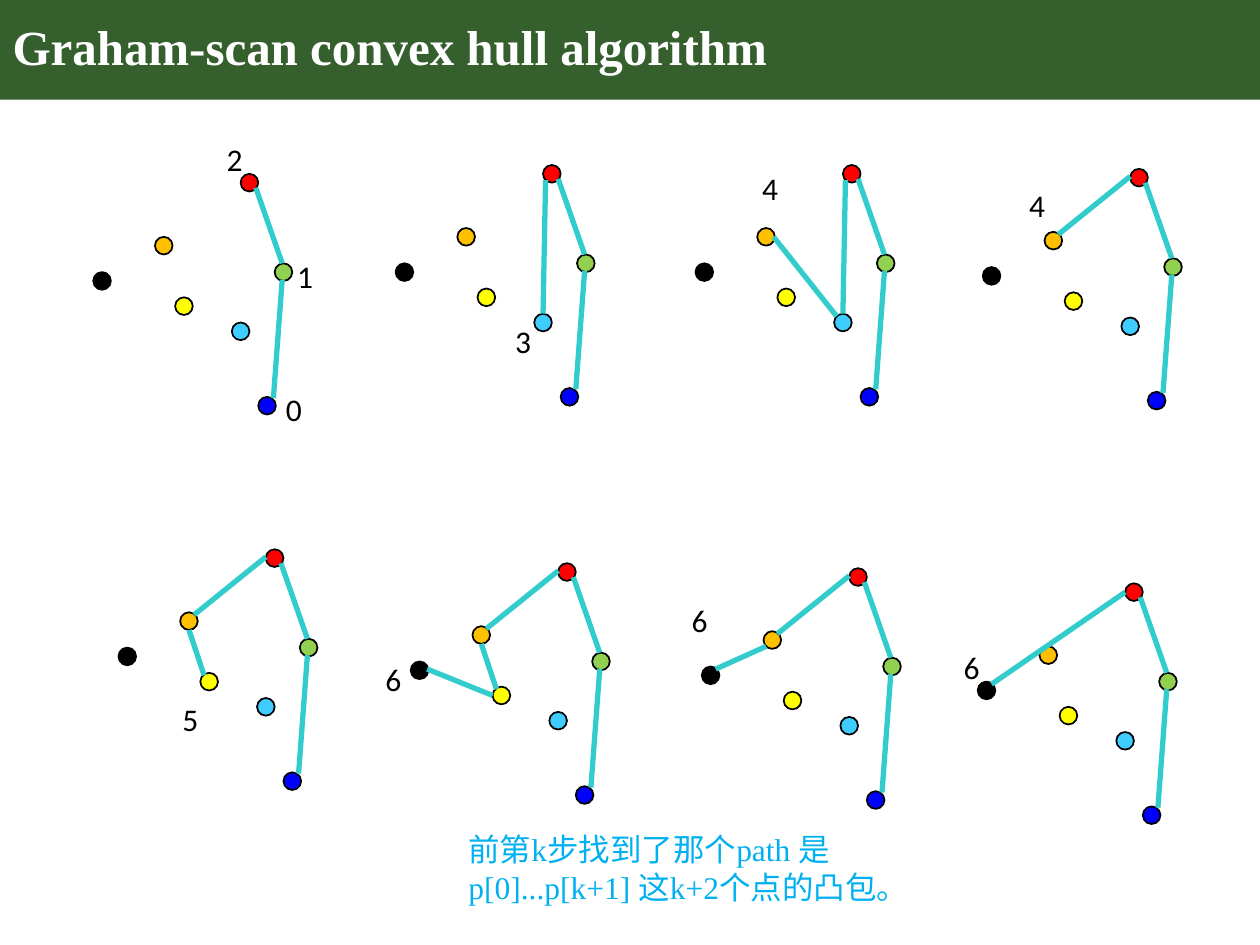
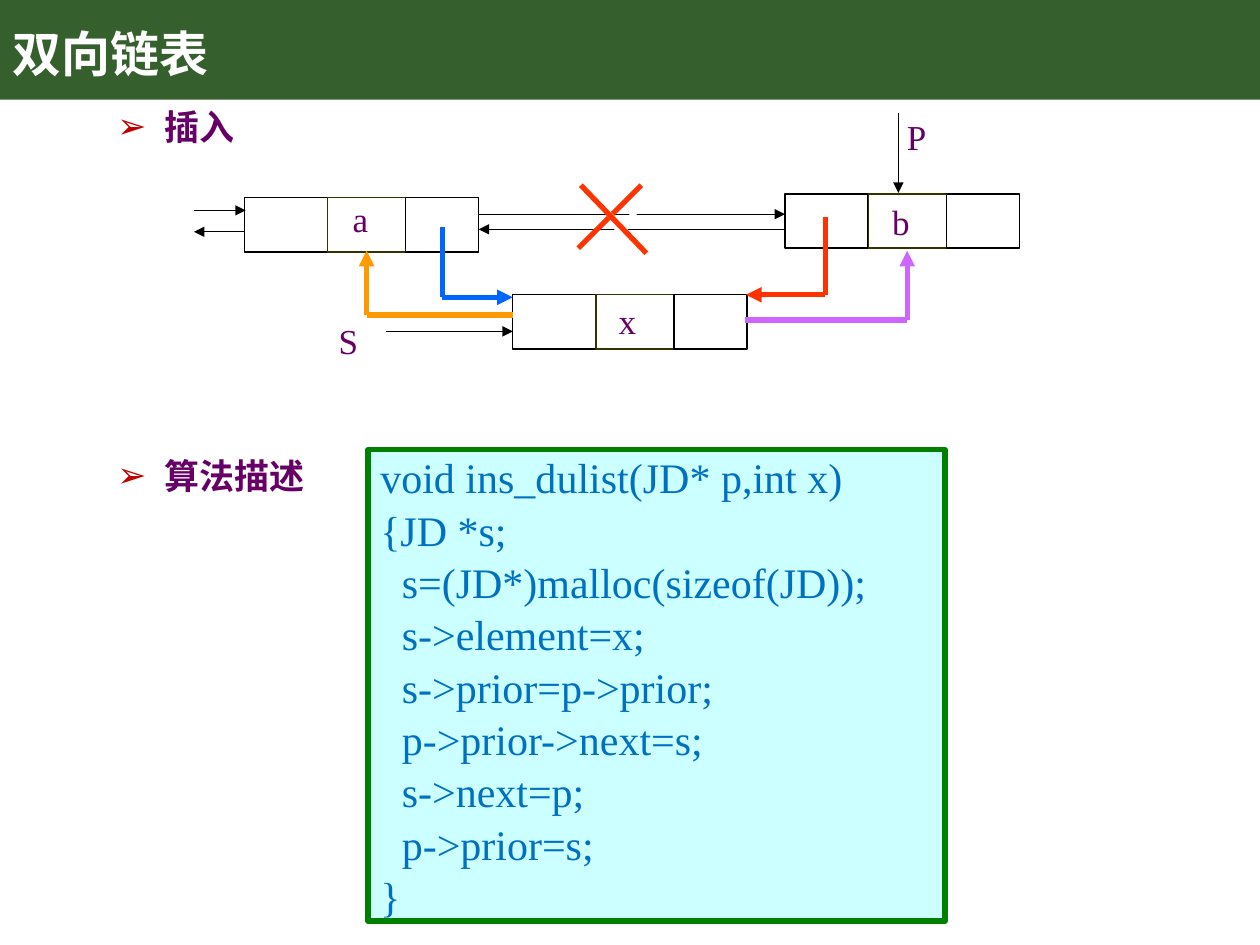
from dataclasses import dataclass
from itertools import pairwise
from typing import Any, NamedTuple

from lxml.etree import SubElement
from pptx import Presentation
from pptx.dml.color import RGBColor
from pptx.enum.shapes import MSO_CONNECTOR, MSO_SHAPE
from pptx.enum.text import MSO_ANCHOR, MSO_AUTO_SIZE, PP_ALIGN
from pptx.oxml.ns import qn
from pptx.util import Inches, Pt


@dataclass(frozen=True)
class Theme:
    band: str = "365F2E"
    white: str = "FFFFFF"
    black: str = "000000"
    edge: str = "33CCCC"
    caption: str = "00B0F0"
    purple: str = "660066"
    bullet: str = "C00000"
    cell: str = "333300"
    red: str = "FF3300"
    code: str = "0070C0"
    code_fill: str = "CCFFFF"
    code_line: str = "008000"
    serif: str = "Times New Roman"
    sans: str = "Calibri"
    chinese: str = "Noto Sans CJK SC"
    title_size: int = 28
    code_size: int = 24
    list_size: int = 20
    text_size: int = 18
    thick: float = 3
    thin: float = 0.75
    outline: float = 1


THEME = Theme()
Point = tuple[float, float]


class Label(NamedTuple):
    text: str
    left: float
    top: float


class Scene(NamedTuple):
    left: float
    top: float
    edges: tuple[str, ...]
    labels: tuple[Label, ...] = ()


class Route(NamedTuple):
    points: tuple[Point, ...]
    color: str = THEME.black
    width: float = THEME.thin


# Dots and edges, measured from the corner of the red dot
DOT_SIZE = 0.14
DOTS: dict[str, Point] = {
    "FF0000": (0, 0), "92D050": (0.27, 0.71), "000000": (-1.17, 0.78),
    "3FCDFF": (-0.07, 1.18), "0000FF": (0.14, 1.77),
    "FFFF00": (-0.52, 0.98), "FFC000": (-0.68, 0.5),
}
EDGES: dict[str, tuple[Point, Point]] = {
    "blue-green": ((0.26, 1.78), (0.33, 0.84)),
    "green-red": ((0.33, 0.71), (0.12, 0.11)),
    "red-cyan": ((0.02, 0.12), (0, 1.18)),
    "cyan-orange": ((-0.05, 1.2), (-0.55, 0.57)),
    "red-orange": ((0, 0.06), (-0.57, 0.52)),
    "orange-yellow": ((-0.61, 0.64), (-0.49, 1.0)),
    "yellow-black": ((-0.52, 1.05), (-1.04, 0.84)),
    "orange-black": ((-0.66, 0.62), (-1.06, 0.8)),
    "red-black": ((0, 0.07), (-1.06, 0.8)),
}
START = ("blue-green", "green-red")
SCENES = (
    Scene(1.91, 1.38, START,
          (Label("0", 2.17, 3.05), Label("1", 2.26, 1.99), Label("2", 1.7, 1.06))),
    Scene(4.31, 1.31, START + ("red-cyan",), (Label("3", 3.99, 2.51),)),
    Scene(6.69, 1.31, START + ("red-cyan", "cyan-orange"), (Label("4", 5.95, 1.29),)),
    Scene(8.97, 1.34, START + ("red-orange",), (Label("4", 8.07, 1.43),)),
    Scene(2.11, 4.36, START + ("red-orange", "orange-yellow"), (Label("5", 1.35, 5.51),)),
    Scene(4.43, 4.47, START + ("red-orange", "orange-yellow", "yellow-black"),
          (Label("6", 2.96, 5.19),)),
    Scene(6.74, 4.51, START + ("red-orange", "orange-black"), (Label("6", 5.39, 4.72),)),
    Scene(8.93, 4.63, START + ("red-black",), (Label("6", 7.55, 5.09),)),
)

# Linked list nodes, pointers and code
NODE_HEIGHT = 0.43
NODES: tuple[Point, ...] = ((4.07, 2.34), (1.94, 1.57), (6.23, 1.54))
CELLS = ((0.66, THEME.black), (0.62, THEME.cell), (0.58, THEME.black))
NODE_LABELS = (Label("x", 4.81, 2.33), Label("a", 2.69, 1.52), Label("b", 6.98, 1.54),
               Label("S", 2.59, 2.49), Label("P", 7.1, 0.87))
ROUTES = (
    Route(((3.51, 1.8), (3.51, 2.36), (4.07, 2.36)), "0066FF", THEME.thick),
    Route(((4.07, 2.5), (2.91, 2.5), (2.91, 1.99)), "FF9900", THEME.thick),
    Route(((6.55, 1.72), (6.55, 2.34), (5.92, 2.34)), THEME.red, THEME.thick),
    Route(((5.91, 2.54), (7.2, 2.54), (7.2, 1.99)), "CC66FF", THEME.thick),
    Route(((3.06, 2.63), (4.07, 2.63))),
    Route(((1.54, 1.67), (1.95, 1.67))),
    Route(((1.94, 1.84), (1.54, 1.84))),
    Route(((3.8, 1.7), (6.23, 1.7))),
    Route(((6.24, 1.82), (3.8, 1.82))),
    Route(((7.13, 0.9), (7.13, 1.53))),
)
CROSS = (((5.09, 1.47), (4.59, 1.97)), ((4.61, 1.47), (5.13, 2.01)))
BULLETS = (("插入", 0.79), ("算法描述", 3.56))
CODE_INDENT = 0.17
CODE = (
    (0, "void ins_dulist(JD* p,int x)"),
    (0, "{JD *s;"),
    (1, "s=(JD*)malloc(sizeof(JD));"),
    (1, "s->element=x;"),
    (1, "s->prior=p->prior;"),
    (1, "p->prior->next=s;"),
    (1, "s->next=p;"),
    (1, "p->prior=s;"),
    (0, "}"),
)


def set_values(target: Any, values: dict[str, Any]) -> None:
    for name, value in values.items():
        setattr(target, name, value)


def place(shape: Any, left: float, top: float, width: float, height: float) -> None:
    set_values(shape, {"left": Inches(left), "top": Inches(top),
                       "width": Inches(width), "height": Inches(height)})


def write(paragraph: Any, text: str, size: int, color: str,
          font: str = THEME.serif, bold: bool = False) -> None:
    paragraph.text = text
    for run in paragraph.runs:
        set_values(run.font, {"name": font, "size": Pt(size), "bold": bold})
        run.font.color.rgb = RGBColor.from_string(color)
        SubElement(run.font._element, qn("a:ea"), typeface=THEME.chinese)


def add_text(slide: Any, label: Label, width: float, height: float, size: int,
             color: str, font: str = THEME.serif) -> Any:
    box = slide.shapes.add_textbox(Inches(label.left), Inches(label.top),
                                   Inches(width), Inches(height))
    box.text_frame.word_wrap = True
    write(box.text_frame.paragraphs[0], label.text, size, color, font)
    return box


def add_box(slide: Any, kind: Any, left: float, top: float, width: float, height: float,
            fill: str | None, line: str | None, line_width: float = 0) -> Any:
    shape = slide.shapes.add_shape(kind, Inches(left), Inches(top),
                                   Inches(width), Inches(height))
    shape.shadow.inherit = False
    for part, color in ((shape.fill, fill), (shape.line.fill, line)):
        if color is None:
            part.background()
        else:
            part.solid()
            part.fore_color.rgb = RGBColor.from_string(color)
    if line:
        shape.line.width = Pt(line_width)
    return shape


def add_line(slide: Any, start: Point, end: Point, color: str, width: float,
             arrow: bool = False) -> Any:
    """Draw a straight line and return its effect list."""
    line = slide.shapes.add_connector(MSO_CONNECTOR.STRAIGHT,
                                      *(Inches(value) for value in start + end))
    line.line.color.rgb = RGBColor.from_string(color)
    line.line.width = Pt(width)
    if arrow:
        SubElement(line.line._get_or_add_ln(), qn("a:tailEnd"), type="triangle")
    return SubElement(line._element.spPr, qn("a:effectLst"))


def add_titled_slide(presentation: Any, layout: int, title: str, spacing: float) -> Any:
    slide = presentation.slides.add_slide(presentation.slide_layouts[layout])
    band = add_box(slide, MSO_SHAPE.RECTANGLE, 0, 0, 10, 0.79, THEME.band, None)
    slide.shapes._spTree.insert(2, band._element)
    shape = slide.shapes.title
    place(shape, 0, 0, 8.62, 0.79)
    set_values(shape.text_frame, {"vertical_anchor": MSO_ANCHOR.MIDDLE,
                                  "auto_size": MSO_AUTO_SIZE.NONE})
    paragraph = shape.text_frame.paragraphs[0]
    write(paragraph, title, THEME.title_size, THEME.white, bold=True)
    set_values(paragraph, {"alignment": PP_ALIGN.LEFT, "line_spacing": spacing})
    return slide


def draw_scene(slide: Any, scene: Scene) -> None:
    for color, (x, y) in DOTS.items():
        add_box(slide, MSO_SHAPE.OVAL, scene.left + x, scene.top + y,
                DOT_SIZE, DOT_SIZE, color, THEME.black, THEME.outline)
    for name in scene.edges:
        start, end = ((scene.left + x, scene.top + y) for x, y in EDGES[name])
        add_line(slide, start, end, THEME.edge, THEME.thick)
    for label in scene.labels:
        add_text(slide, label, 0.6, 0.4, THEME.text_size, THEME.black, THEME.sans)


def build_hull_slide(presentation: Any) -> None:
    slide = add_titled_slide(presentation, 5, "Graham-scan convex hull algorithm", 0.9)
    for scene in SCENES:
        draw_scene(slide, scene)
    caption = "前第k步找到了那个path 是\vp[0]...p[k+1] 这k+2个点的凸包。"
    add_text(slide, Label(caption, 3.62, 6.54), 4.57, 0.71, THEME.text_size, THEME.caption)


def fill_bullet(shape: Any, text: str, top: float) -> None:
    place(shape, 0.83, top, 2, 0.48)
    shape.text_frame.auto_size = MSO_AUTO_SIZE.NONE
    paragraph = shape.text_frame.paragraphs[0]
    write(paragraph, text, THEME.list_size, THEME.purple, THEME.chinese, True)
    properties = paragraph._p.get_or_add_pPr()
    set_values(properties, {"marL": Inches(0.25), "indent": Inches(-0.25)})
    color = SubElement(properties, qn("a:buClr"))
    SubElement(color, qn("a:srgbClr"), val=THEME.bullet)
    SubElement(properties, qn("a:buChar"), char="➢")
    paragraph.space_before = Pt(4)


def draw_code(slide: Any) -> None:
    box = add_box(slide, MSO_SHAPE.RECTANGLE, 2.92, 3.57, 4.58, 3.74,
                  THEME.code_fill, THEME.code_line, THEME.thick)
    frame = box.text_frame
    set_values(frame, {"word_wrap": True, "vertical_anchor": MSO_ANCHOR.MIDDLE})
    for number, (level, text) in enumerate(CODE):
        paragraph = frame.add_paragraph() if number else frame.paragraphs[0]
        write(paragraph, text, THEME.code_size, THEME.code)
        set_values(paragraph, {"alignment": PP_ALIGN.LEFT, "line_spacing": 1.04})
        paragraph._p.get_or_add_pPr().set("marL", str(Inches(level * CODE_INDENT)))


def draw_list(slide: Any) -> None:
    # Nodes of three cells
    for left, top in NODES:
        for width, color in CELLS:
            add_box(slide, MSO_SHAPE.RECTANGLE, left, top, width, NODE_HEIGHT,
                    None, color, THEME.thin)
            left += width
    for label in NODE_LABELS:
        box = add_text(slide, label, 0.34, 0.43, THEME.list_size, THEME.purple)
        set_values(box.text_frame, {"word_wrap": False, "vertical_anchor": MSO_ANCHOR.MIDDLE})
        box.text_frame.paragraphs[0].alignment = PP_ALIGN.CENTER
    # Pointers, with an arrowhead on the last leg
    for route in ROUTES:
        for start, end in pairwise(route.points):
            add_line(slide, start, end, route.color, route.width, end == route.points[-1])
    # Cross over the broken links, with a white shadow
    for start, end in CROSS:
        effects = add_line(slide, start, end, THEME.red, THEME.thick)
        shadow = SubElement(effects, qn("a:outerShdw"), dist=str(Pt(8.5)), dir="2700000")
        SubElement(shadow, qn("a:srgbClr"), val=THEME.white)


def build_list_slide(presentation: Any) -> None:
    slide = add_titled_slide(presentation, 3, "双向链表", 1.1)
    for index, (text, top) in enumerate(BULLETS, start=1):
        fill_bullet(slide.placeholders[index], text, top)
    draw_code(slide)
    draw_list(slide)


def main() -> None:
    presentation = Presentation()
    set_values(presentation, {"slide_width": Inches(10), "slide_height": Inches(7.5)})
    build_hull_slide(presentation)
    build_list_slide(presentation)
    presentation.save("out.pptx")


if __name__ == "__main__":
    main()
